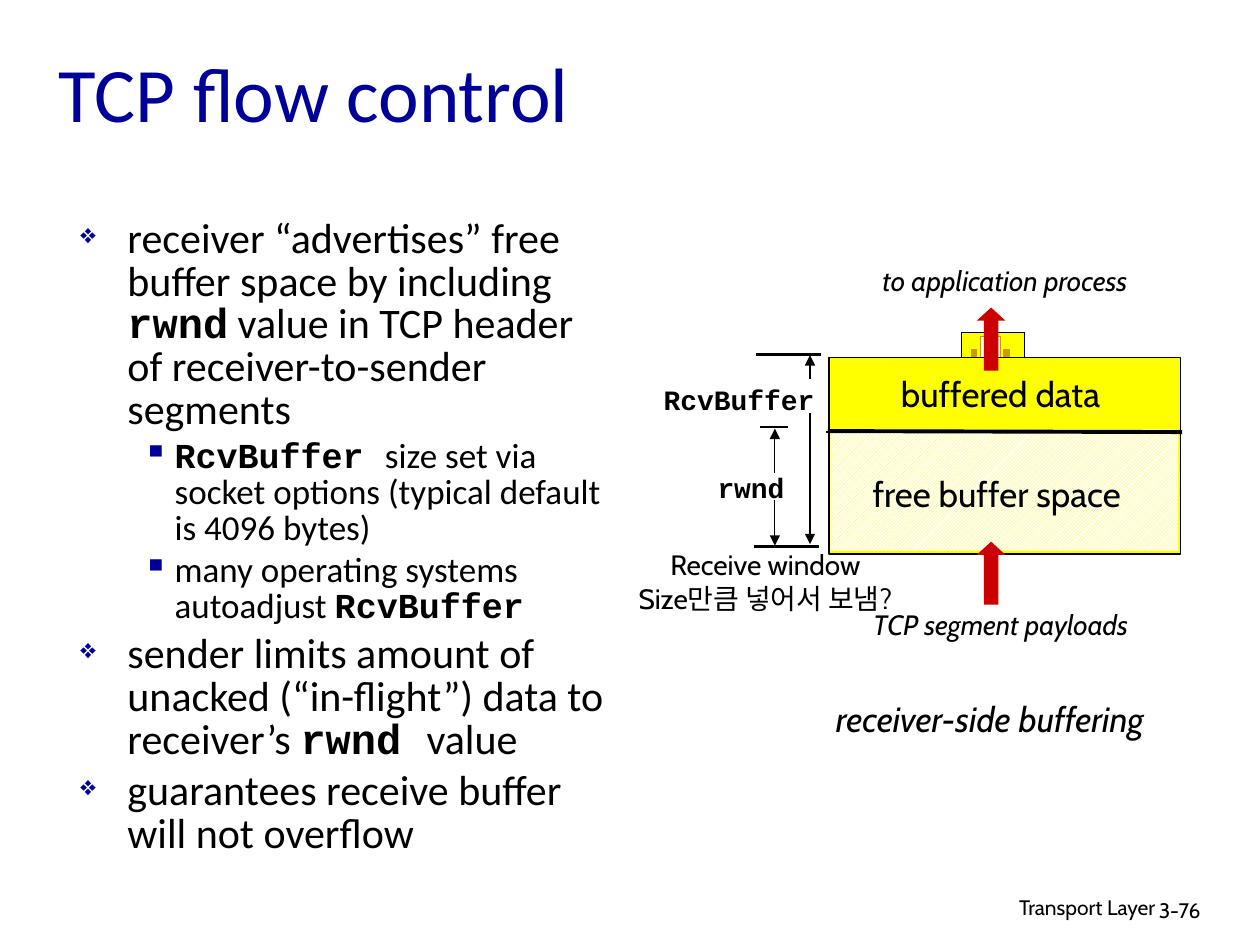
from lxml import etree
from pptx import Presentation, util as u
from pptx.dml.color import RGBColor
from pptx.enum import dml, shapes, text
from pptx.oxml.ns import qn

THEME = {
    "ink": "000000", "navy": "000099", "red": "CC0000", "yellow": "FFFF00",
    "ochre": "CC9900", "white": "FFFFFF",
    "body": "Calibri", "label": "Cabin", "code": "Courier New",
    "title_size": 44, "levels": (24, 20), "large": 20, "medium": 16, "small": 12,
}

# Content: lengths in centimetres, boxes as left, top, width, height
TITLE = "TCP flow control"
CODE = True
BULLETS = [  # level, spans of (text, is code)
    (0, [("receiver “advertises” free buffer space by including ", False),
         ("rwnd", CODE), (" value in TCP header of receiver-to-sender segments", False)]),
    (1, [("RcvBuffer ", CODE),
         ("size set via socket options (typical default is 4096 bytes)", False)]),
    (1, [("many operating systems autoadjust ", False), ("RcvBuffer", CODE)]),
    (0, [("sender limits amount of unacked (“in-flight”) data to receiver’s ", False),
         ("rwnd ", CODE), ("value", False)]),
    (0, [("guarantees receive buffer will not overflow", False)]),
]
BULLET_STYLES = [  # mark, left margin, hanging indent, size in percent
    ("❖", 0.95, 0.95, 65),
    ("▪", 1.9, 0.64, 100),
]
RECTANGLES = [  # box, fill, line
    ((19.38, 6.71, 1.27, 0.58), "yellow", "ink"),    # socket
    ((19.76, 6.78, 0.41, 0.43), "white", "ochre"),   # socket door
    ((20.24, 7.04, 0.1, 0.15), "ochre", "ochre"),
    ((19.58, 7.04, 0.1, 0.15), "ochre", "ochre"),
    ((16.71, 7.21, 7.09, 3.96), "yellow", "ink"),    # receive buffer
]
FREE_SPACE = (16.74, 8.66, 7.01, 2.44)
FLOW_ARROW_TOPS = (6.2, 10.92)
LINES = [  # start, end, width in points, end that has an arrowhead
    ((16.66, 8.71), (23.8, 8.71), 0.75, None),
    ((16.69, 8.69), (23.83, 8.71), 2.25, None),      # data / free space border
    ((15.62, 8.64), (15.62, 9.53), 0.75, "headEnd"),  # rwnd extent
    ((15.62, 11), (15.62, 10.08), 0.75, "headEnd"),
    ((15.19, 11.02), (16.51, 11.02), 1.5, None),
    ((15.32, 8.61), (15.88, 8.61), 1.5, None),
    ((15.24, 7.14), (16.56, 7.14), 1.5, None),
    ((16.33, 7.16), (16.33, 7.65), 0.75, "headEnd"),  # RcvBuffer extent
    ((16.33, 8.33), (16.33, 10.97), 0.75, "tailEnd"),
]
LABELS = [  # text, box, format
    ("buffered data", (17.81, 7.39, 4.72, 1.09), {"size": "large"}),
    ("free buffer space", (17.2, 9.4, 5.79, 1.09), {"size": "large"}),
    ("rwnd", (14.2, 9.37, 1.88, 0.94), {"font": "code", "bold": True}),
    ("RcvBuffer", (13.11, 7.59, 3.56, 0.94),
     {"font": "code", "bold": True, "align": "RIGHT"}),
    ("TCP segment payloads", (17.09, 12.12, 6.17, 0.94), {"italic": True}),
    ("to application process", (17.3, 5.18, 5.92, 0.94), {"italic": True}),
    ("receiver-side buffering", (16.21, 13.94, 7.49, 1.09),
     {"size": "large", "italic": True}),
    ("Receive window\nSize만큼 넣어서 보냄?", (12.37, 10.92, 6.12, 1.63), {}),
    ("Transport Layer", (15.49, 17.91, 8.05, 0.79),
     {"size": "small", "align": "RIGHT", "wrap": True}),
    ("3-76", (23.11, 17.96, 1.88, 0.76),
     {"size": "small", "align": "LEFT", "wrap": True}),
]


def color(name):
    return RGBColor.from_string(THEME[name])


def cm(values):
    return [u.Cm(value) for value in values]


def add_span(para, content, size, font="label", ink="ink", bold=False, italic=False):
    span = para.add_run()
    span.text = content
    span.font.name, span.font.size = THEME[font], u.Pt(size)
    span.font.bold, span.font.italic = bold, italic
    span.font.color.rgb = color(ink)
    for tag in ("a:ea", "a:cs"):
        etree.SubElement(span.font._element, qn(tag), typeface=THEME[font])


def add_text(page, content, box, size="medium", align="CENTER", wrap=False,
             anchor="TOP", **style):
    frame = page.shapes.add_textbox(*cm(box)).text_frame
    frame.word_wrap = wrap
    frame.vertical_anchor = getattr(text.MSO_ANCHOR, anchor)
    for number, row in enumerate(content.split("\n")):
        para = frame.add_paragraph() if number else frame.paragraphs[0]
        para.alignment = getattr(text.PP_ALIGN, align)
        add_span(para, row, THEME[size], **style)


def add_bullets(page, box):
    frame = page.shapes.add_textbox(*cm(box)).text_frame
    frame.word_wrap = True
    for number, (level, spans) in enumerate(BULLETS):
        para = frame.add_paragraph() if number else frame.paragraphs[0]
        size = THEME["levels"][level]
        para.level, para.line_spacing = level, 0.85
        para.space_before = u.Pt(size * 0.2)
        mark, margin, hanging, percent = BULLET_STYLES[level]
        props = para._p.get_or_add_pPr()
        props.set("marL", str(u.Cm(margin)))
        props.set("indent", str(-u.Cm(hanging)))
        tint = etree.SubElement(props, qn("a:buClr"))
        etree.SubElement(tint, qn("a:srgbClr"), val=THEME["navy"])
        etree.SubElement(props, qn("a:buSzPct"), val=str(percent * 1000))
        etree.SubElement(props, qn("a:buChar"), char=mark)
        for content, is_code in spans:
            add_span(para, content, size, font="code" if is_code else "body", bold=is_code)


def add_shape(page, kind, box, fill, line=None):
    shape = page.shapes.add_shape(kind, *cm(box))
    shape.shadow.inherit = False
    shape.fill.solid()
    shape.fill.fore_color.rgb = color(fill)
    if line:
        shape.line.color.rgb, shape.line.width = color(line), u.Pt(0.75)
    else:
        shape.line.fill.background()
    return shape


def add_line(page, start, end, width, arrow_end):
    line = page.shapes.add_connector(shapes.MSO_CONNECTOR.STRAIGHT, *cm(start + end))
    line.line.color.rgb, line.line.width = color("ink"), u.Pt(width)
    if arrow_end:
        etree.SubElement(line.line._get_or_add_ln(), qn("a:" + arrow_end), type="triangle")
    etree.SubElement(line._element.spPr, qn("a:effectLst"))


def main():
    deck = Presentation()
    deck.slide_width, deck.slide_height = u.Cm(25.4), u.Cm(19.05)
    page = deck.slides.add_slide(deck.slide_layouts[6])

    # Title and bullets
    add_text(page, TITLE, (0.94, 0.48, 21.59, 2.72), size="title_size", align="LEFT",
             wrap=True, anchor="MIDDLE", font="body", ink="navy")
    add_bullets(page, (1.37, 4.29, 11.25, 13.64))

    # Receive buffer with its socket and hatched free space
    kinds = shapes.MSO_SHAPE
    for box, fill, line in RECTANGLES:
        add_shape(page, kinds.RECTANGLE, box, fill, line)
    hatch = add_shape(page, kinds.RECTANGLE, FREE_SPACE, "yellow").fill
    hatch.patterned()
    hatch.pattern = dml.MSO_PATTERN.DARK_UPWARD_DIAGONAL
    hatch.fore_color.rgb, hatch.back_color.rgb = color("yellow"), color("white")

    # Data flow, dimension lines and labels
    for top in FLOW_ARROW_TOPS:
        arrow = add_shape(page, kinds.UP_ARROW, (19.69, top, 0.58, 1.27), "red")
        arrow.adjustments[0], arrow.adjustments[1] = 0.5, 0.46
    for line in LINES:
        add_line(page, *line)
    for content, box, style in LABELS:
        add_text(page, content, box, **style)

    deck.save("out.pptx")


if __name__ == "__main__":
    main()
